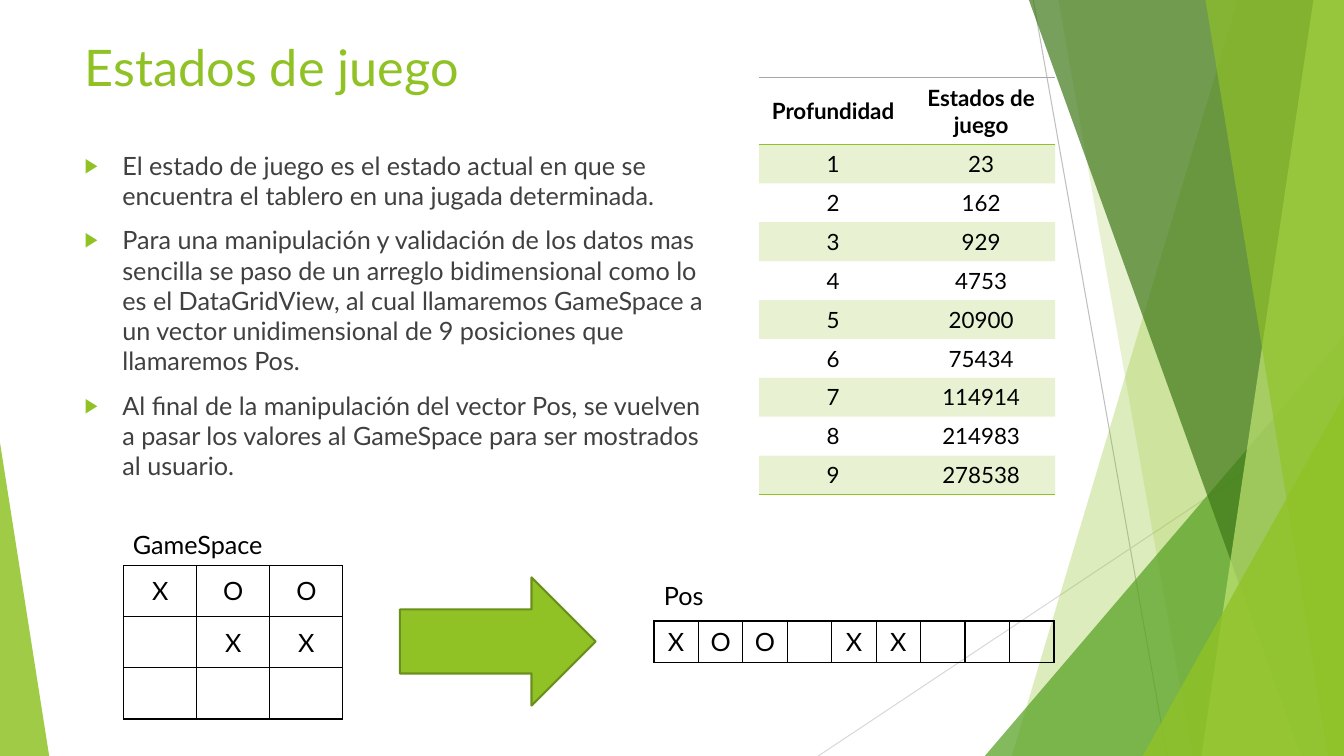
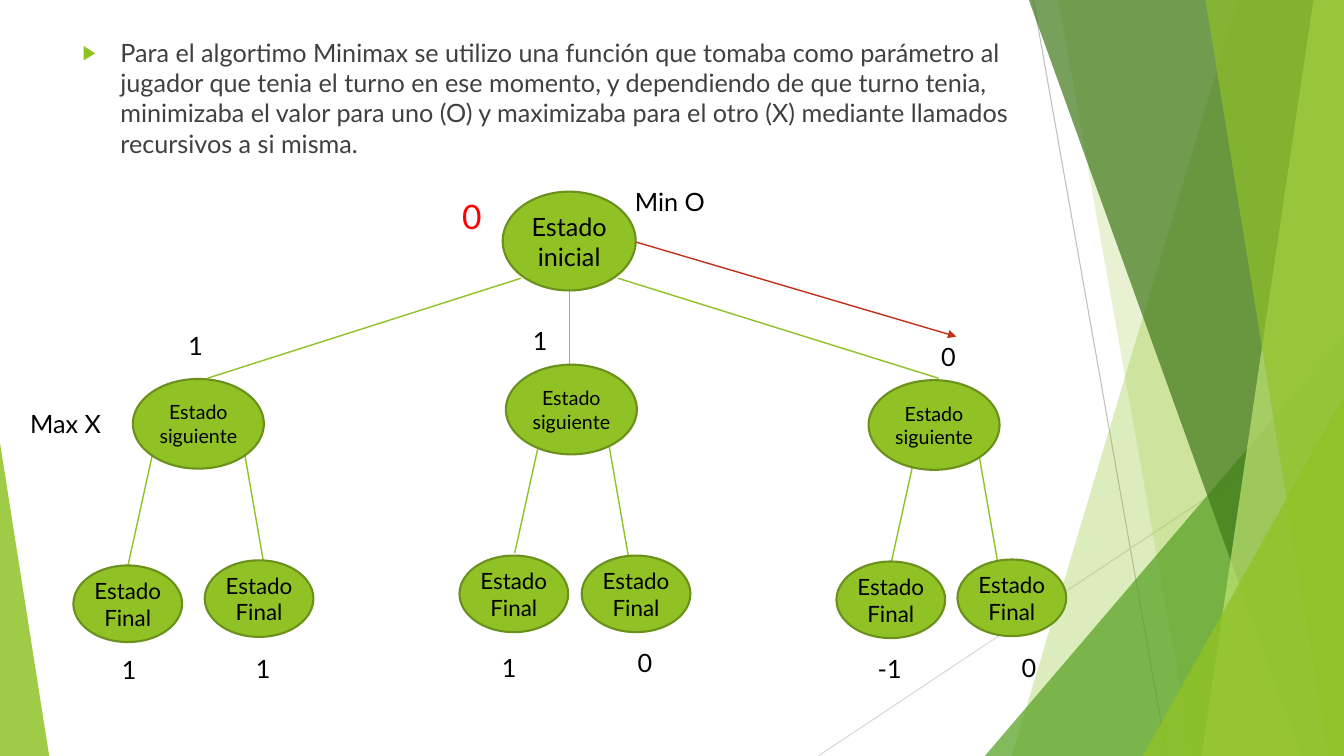
import dataclasses
import typing

import lxml.etree
import pptx
import pptx.dml.color
import pptx.enum.shapes
import pptx.enum.text
import pptx.oxml.ns
import pptx.util

Cm = pptx.util.Cm
Pt = pptx.util.Pt
qn = pptx.oxml.ns.qn
Kind = pptx.enum.shapes.MSO_SHAPE
Align = pptx.enum.text.PP_ALIGN
Anchor = pptx.enum.text.MSO_ANCHOR

WIDE, HIGH = 33.87, 19.05
FONT = "Lato"
PLAIN = "{2D5ABB26-0587-4C30-8999-92F81FD0307C}"
HUES = {
    "green": "90C226", "leaf": "54A021", "moss": "3F7819", "lime": "C0E474",
    "edge": "6B901C", "text": "404040", "black": "000000", "red": "FF0000",
    "rust": "C42F1A", "gray": "A6A6A6", "mist": "BFBFBF", "pale": "D9D9D9",
}


def tint(name):
    return pptx.dml.color.RGBColor.from_string(HUES[name])


def add(node, tag, **attrs):
    return lxml.etree.SubElement(node, qn(tag), **attrs)


def paint(fill, node, hue, alpha=100):
    """Solid fill; node is the XML element that owns it."""
    fill.solid()
    fill.fore_color.rgb = tint(hue)
    if alpha < 100:
        color = node.find(qn("a:solidFill")).find(qn("a:srgbClr"))
        add(color, "a:alpha", val=str(alpha * 1000))


@dataclasses.dataclass
class Deck:
    show: typing.Any
    slide: typing.Any = None

    # New slide with the shared green bands
    def page(self):
        self.slide = self.show.slides.add_slide(self.show.slide_layouts[1])
        self.line((26.04, 0), (29.41, HIGH), "mist", 0.75)
        self.line((WIDE, 10.24), (20.62, HIGH), "pale", 0.75)
        self.band(31.19, 25.5, "green", 30)
        self.band(26.67, 30.05, "green", 20)
        self.wedge(24.82, 8.46, 9.05, 1, "leaf", 72)
        self.band(25.93, 32.79, "moss", 70)
        self.band(33.1, 30.28, "lime", 70)
        self.band(30.38, 33.48, "green", 65)
        self.wedge(28.8, 9.98, 5.07, 1, "green", 80)
        self.wedge(0, 11.15, 1.24, 0, "green", 85)

    def band(self, top, foot, hue, alpha):
        pen = self.slide.shapes.build_freeform(Cm(top), 0)
        pen.add_line_segments(
            [(Cm(WIDE), 0), (Cm(WIDE), Cm(HIGH)), (Cm(foot), Cm(HIGH))])
        self.dress(pen.convert_to_shape(), hue, alpha)

    def wedge(self, x, y, w, tip, hue, alpha):
        part = self.shape(Kind.ISOSCELES_TRIANGLE, (x, y, w, HIGH - y),
                          hue, alpha, None)
        part.adjustments[0] = tip

    # Shapes and lines
    def dress(self, part, hue, alpha=100, edge=None):
        part.shadow.inherit = False
        paint(part.fill, part._element.spPr, hue, alpha)
        if edge:
            part.line.color.rgb = tint(edge)
            part.line.width = Pt(1.5)
        else:
            part.line.fill.background()

    def shape(self, kind, box, hue="green", alpha=100, edge="edge"):
        part = self.slide.shapes.add_shape(kind, *map(Cm, box))
        self.dress(part, hue, alpha, edge)
        return part

    def line(self, start, end, hue="green", width=1, arrow=False):
        part = self.slide.shapes.add_connector(
            pptx.enum.shapes.MSO_CONNECTOR.STRAIGHT,
            *map(Cm, start), *map(Cm, end))
        part.line.color.rgb = tint(hue)
        part.line.width = Pt(width)
        if arrow:
            add(part.line._get_or_add_ln(), "a:tailEnd", type="triangle")
        add(part._element.spPr, "a:effectLst")

    # Text
    def put(self, para, text, size=18, hue="black", bold=False, align=None):
        para.alignment = align
        run = para.add_run()
        run.text = text
        run.font.name = FONT
        run.font.size = Pt(size)
        run.font.bold = bold
        run.font.color.rgb = tint(hue)

    def label(self, text, x, y, w=2.5, size=18, hue="black"):
        frame = self.slide.shapes.add_textbox(
            Cm(x), Cm(y), Cm(w), Cm(1.02)).text_frame
        frame.word_wrap = True
        self.put(frame.paragraphs[0], text, size, hue)

    def node(self, text, box, size):
        frame = self.shape(Kind.OVAL, box).text_frame
        frame.word_wrap = True
        frame.vertical_anchor = Anchor.MIDDLE
        frame.margin_left = frame.margin_right = 0
        frame.margin_top = frame.margin_bottom = 0
        self.put(frame.paragraphs[0], text, size, align=Align.CENTER)

    def place(self, holder, box):
        holder.left, holder.top, holder.width, holder.height = map(Cm, box)
        frame = holder.text_frame
        frame.word_wrap = True
        frame.auto_size = pptx.enum.text.MSO_AUTO_SIZE.NONE
        frame.vertical_anchor = Anchor.TOP
        return frame

    def title(self, text=None):
        holder = self.slide.shapes.title
        if text is None:
            holder._element.getparent().remove(holder._element)
            return
        frame = self.place(holder, (1.88, 0.79, 23.88, 3.66))
        self.put(frame.paragraphs[0], text, 36, "green", align=Align.LEFT)

    def body(self, items, box):
        frame = self.place(self.slide.placeholders[1], box)
        for i, item in enumerate(items):
            para = frame.add_paragraph() if i else frame.paragraphs[0]
            self.put(para, item, hue="text", align=Align.LEFT)
            para.space_before = Pt(10)
            props = para._p.get_or_add_pPr()
            props.set("marL", str(Cm(0.95)))
            props.set("indent", str(-Cm(0.95)))
            add(add(props, "a:buClr"), "a:srgbClr", val=HUES["green"])
            add(props, "a:buSzPct", val="80000")
            add(props, "a:buChar", char="▶")

    # Tables
    def grid(self, rows, x, y, w, highs):
        wide = len(rows[0])
        frame = self.slide.shapes.add_table(
            len(rows), wide, Cm(x), Cm(y), Cm(w * wide), Cm(sum(highs)))
        table = frame.table
        table.first_row = table.horz_banding = False
        table._tbl.tblPr.find(qn("a:tableStyleId")).text = PLAIN
        for col in table.columns:
            col.width = Cm(w)
        for row, high in zip(table.rows, highs):
            row.height = Cm(high)
        return table

    def cell(self, cell, text, edges, size=18, bold=False, alpha=0):
        cell.vertical_anchor = Anchor.MIDDLE
        props = cell._tc.get_or_add_tcPr()
        for side in "LRTB":
            if side in edges:
                rule = add(props, "a:ln" + side, w=str(Pt(1)))
                add(add(rule, "a:solidFill"), "a:srgbClr",
                    val=HUES[edges[side]])
        if alpha:
            paint(cell.fill, props, "green", alpha)
        else:
            cell.fill.background()
        if text:
            self.put(cell.text_frame.paragraphs[0], text, size, bold=bold,
                     align=Align.CENTER)

    def board(self, rows, x, y, w, high):
        table = self.grid(rows, x, y, w, [high] * len(rows))
        for r, row in enumerate(rows):
            for c, mark in enumerate(row):
                self.cell(table.cell(r, c), mark.strip(),
                          dict.fromkeys("LRTB", "black"))

    def chart(self, rows, x, y, w, highs):
        table = self.grid(rows, x, y, w, highs)
        for r, row in enumerate(rows):
            edges = {}
            if r == 0:
                edges = {"T": "gray", "B": "green"}
            elif r == len(rows) - 1:
                edges = {"B": "green"}
            for c, text in enumerate(row):
                self.cell(table.cell(r, c), text, edges, 16, r == 0,
                          20 * (r % 2))


def states(deck):
    deck.page()
    deck.title("Estados de juego")
    deck.body([
        "El estado de juego es el estado actual en que se encuentra el "
        "tablero en una jugada determinada.",
        "Para una manipulación y validación de los datos mas sencilla se paso "
        "de un arreglo bidimensional como lo es el DataGridView, al cual "
        "llamaremos GameSpace a un vector unidimensional de 9 posiciones que "
        "llamaremos Pos.",
        "Al final de la manipulación del vector Pos, se vuelven a pasar los "
        "valores al GameSpace para ser mostrados al usuario.",
    ], (1.88, 3.66, 16.43, 11.58))

    # Board turned into a vector
    marks = ["XOO", " XX", "   "]
    deck.board(marks, 3.12, 14.25, 1.84, 1.29)
    deck.shape(Kind.RIGHT_ARROW, (10.08, 14.55, 4.93, 3.23))
    deck.board(["".join(marks)], 16.48, 15.65, 1.12, 1.04)
    deck.label("Pos", 16.48, 14.5, 4.62)
    deck.label("GameSpace", 3.1, 13.21, 5.36)

    # States by depth
    counts = [23, 162, 929, 4753, 20900, 75434, 114914, 214983, 278538]
    rows = [("Profundidad", "Estados de juego")]
    rows += [(str(i), str(n)) for i, n in enumerate(counts, 1)]
    deck.chart(rows, 19.13, 1.96, 3.73, [1.68] + [0.98] * len(counts))


def minimax(deck):
    deck.page()
    deck.title()
    deck.body([
        "Para el algortimo Minimax se utilizo una función que tomaba como "
        "parámetro al jugador que tenia el turno en ese momento, y "
        "dependiendo de que turno tenia, minimizaba el valor para uno (O) y "
        "maximizaba para el otro (X) mediante llamados recursivos a si misma.",
    ], (1.83, 0.81, 23.88, 10.77))

    # Branches
    deck.line((13.13, 7.01), (5.23, 9.53))
    deck.line((14.35, 7.29), (14.35, 9.19), "gray")
    deck.line((15.57, 7.01), (23.65, 9.53))
    for x, y in [(3.84, 11.46), (13.59, 11.13), (23.06, 11.46)]:
        deck.line((x, y), (x - 0.62, y + 2.81))
    for x, y in [(6.17, 11.46), (15.34, 11.18), (24.66, 11.4)]:
        deck.line((x, y), (x + 0.49, y + 2.81))

    # Nodes
    deck.node("Estado inicial", (12.67, 4.83, 3.35, 2.49), 18)
    for x, y in [(3.35, 9.55), (12.75, 9.19), (21.89, 9.58)]:
        deck.node("Estado siguiente", (x, y, 3.3, 2.26), 14)
    for x, y in [(1.85, 14.25), (5.16, 14.12), (11.58, 14), (14.66, 14),
                 (21.08, 14.15), (24.13, 14.1)]:
        deck.node("Estado Final", (x, y, 2.74, 1.93), 16)

    # Players and values
    for text, x, y in [
            ("Min O", 15.75, 4.57), ("Max X", 0.51, 10.16),
            ("1", 4.5, 8.2), ("1", 13.18, 8.08), ("0", 23.47, 8.48),
            ("1", 2.82, 16.36), ("1", 6.2, 16.33), ("1", 12.4, 16.31),
            ("0", 15.82, 16.18), ("-1", 21.87, 16.33), ("0", 25.5, 16.31)]:
        deck.label(text, x, y)
    deck.label("0", 11.4, 4.8, size=24, hue="red")
    deck.line((16.03, 6.1), (24.1, 8.48), "rust", arrow=True)


def main():
    show = pptx.Presentation()
    show.slide_width, show.slide_height = Cm(WIDE), Cm(HIGH)
    deck = Deck(show)
    states(deck)
    minimax(deck)
    show.save("out.pptx")


if __name__ == "__main__":
    main()
